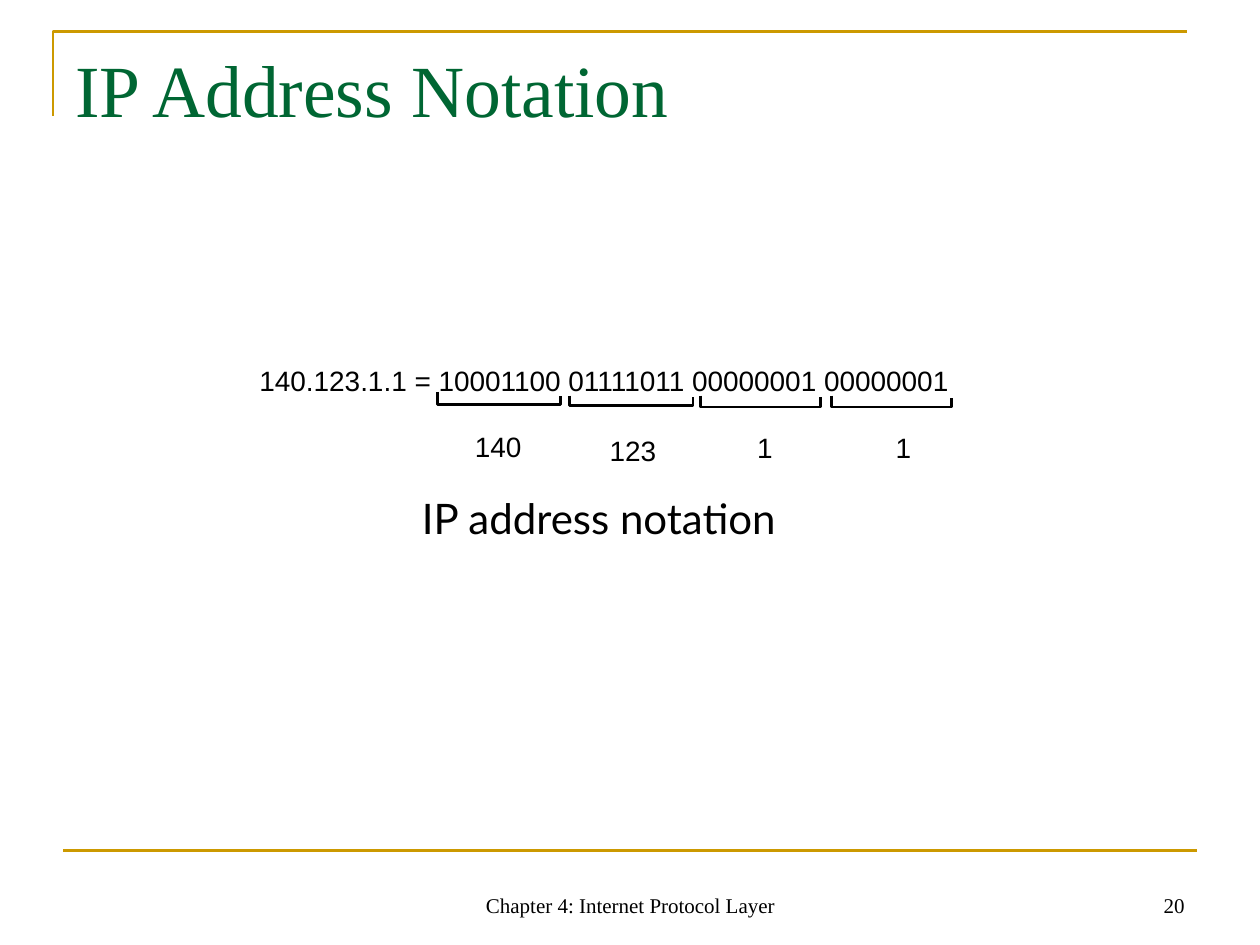
from dataclasses import dataclass

from pptx import Presentation
from pptx.dml.color import RGBColor
from pptx.enum.shapes import MSO_CONNECTOR
from pptx.enum.text import MSO_ANCHOR, MSO_AUTO_SIZE, PP_ALIGN
from pptx.oxml.ns import qn
from pptx.util import Inches, Pt

LEFT, MID, RIGHT = PP_ALIGN.LEFT, PP_ALIGN.CENTER, PP_ALIGN.RIGHT
TOP, BOTTOM = MSO_ANCHOR.TOP, MSO_ANCHOR.BOTTOM
GROW, FIXED = MSO_AUTO_SIZE.SHAPE_TO_FIT_TEXT, MSO_AUTO_SIZE.NONE
STRAIGHT = MSO_CONNECTOR.STRAIGHT
COLS = 100


@dataclass(frozen=True)
class Theme:
    gold: str = "CC9900"
    green: str = "006633"
    black: str = "000000"
    serif: str = "Times New Roman"
    sans: str = "Arial"
    round: str = "Lato"
    title: int = 42
    head: int = 24
    body: int = 16
    foot: int = 12
    line: float = 1.5


class Board:
    def __init__(self, deck, theme):
        self.theme = theme
        self.cell = deck.slide_width / COLS
        self.slide = deck.slides.add_slide(deck.slide_layouts[6])

    def span(self, *cells):
        """Turn counts of square grid cells into slide lengths."""
        return [round(n * self.cell) for n in cells]

    def text(self, words, box, size, face, color=None, align=LEFT,
             anchor=TOP, wrap=False):
        frame = self.slide.shapes.add_textbox(*self.span(*box)).text_frame
        looks = {"word_wrap": wrap, "auto_size": FIXED if wrap else GROW,
                 "vertical_anchor": anchor}
        for key, value in looks.items():
            setattr(frame, key, value)
        para = frame.paragraphs[0]
        para.alignment = align
        run = para.add_run()
        run.text = words
        for key, value in {"size": Pt(size), "name": face}.items():
            setattr(run.font, key, value)
        run.font.color.rgb = RGBColor.from_string(color or self.theme.black)

    def ink(self, line, color):
        line.color.rgb = RGBColor.from_string(color)
        line.width = Pt(self.theme.line)

    def rule(self, start, end, color):
        line = self.slide.shapes.add_connector(
            STRAIGHT, *self.span(*start, *end))
        self.ink(line.line, color)
        props = line._element.spPr
        props.append(props.makeelement(qn("a:effectLst"), {}))

    def trace(self, points, color):
        """Draw an open, unfilled outline through grid points."""
        first, *rest = [self.span(*p) for p in points]
        outline = self.slide.shapes.build_freeform(*first)
        outline.add_line_segments(rest, close=False)
        shape = outline.convert_to_shape()
        shape.shadow.inherit = False
        shape.fill.background()
        self.ink(shape.line, color)

    def brace(self, left, right, top, base, tip):
        points = [(left, top), (left, base), (right, base), (right, tip)]
        self.trace(points, self.theme.black)


def main():
    deck = Presentation()
    deck.slide_width, deck.slide_height = Inches(10), Inches(7.5)
    theme = Theme()
    board = Board(deck, theme)

    board.trace([(4.2, 9.2), (4.2, 2.5), (94.2, 2.5)], theme.gold)
    board.rule((5, 67.5), (95, 67.5), theme.gold)
    for words, left, width, align in (
            ("Chapter 4: Internet Protocol Layer", 34.2, 31.7, MID),
            ("20", 71.7, 23.3, RIGHT)):
        board.text(words, (left, 68.3, width, 5), theme.foot, theme.serif,
                   align=align, anchor=BOTTOM, wrap=True)
    board.text("IP Address Notation", (5, 3, 90, 12.5), theme.title,
               theme.serif, theme.green, wrap=True)

    board.text("140.123.1.1 = 10001100 01111011 00000001 00000001",
               (19.6, 28.4, 57.5, 3.7), theme.body, theme.sans)
    octets = (
        ("140", (36.7, 33.6, 5.7, 3.7), (34.7, 44.5, 31.1, 32.1, 31.4)),
        ("123", (47.4, 33.9, 5.7, 3.7), (45.2, 55, 31.4, 32.2, 31.5)),
        ("1", (59.1, 33.7, 3.2, 3.7), (55.6, 65.1, 31.4, 32.3, 31.5)),
        ("1", (70.1, 33.7, 3.2, 3.7), (66, 75.5, 31.4, 32.3, 31.6)),
    )
    for value, box, edges in octets:
        board.brace(*edges)
        board.text(value, box, theme.body, theme.sans)
    board.text("IP address notation", (32.5, 38.6, 32.6, 5), theme.head,
               theme.round)

    deck.save("out.pptx")


if __name__ == "__main__":
    main()
